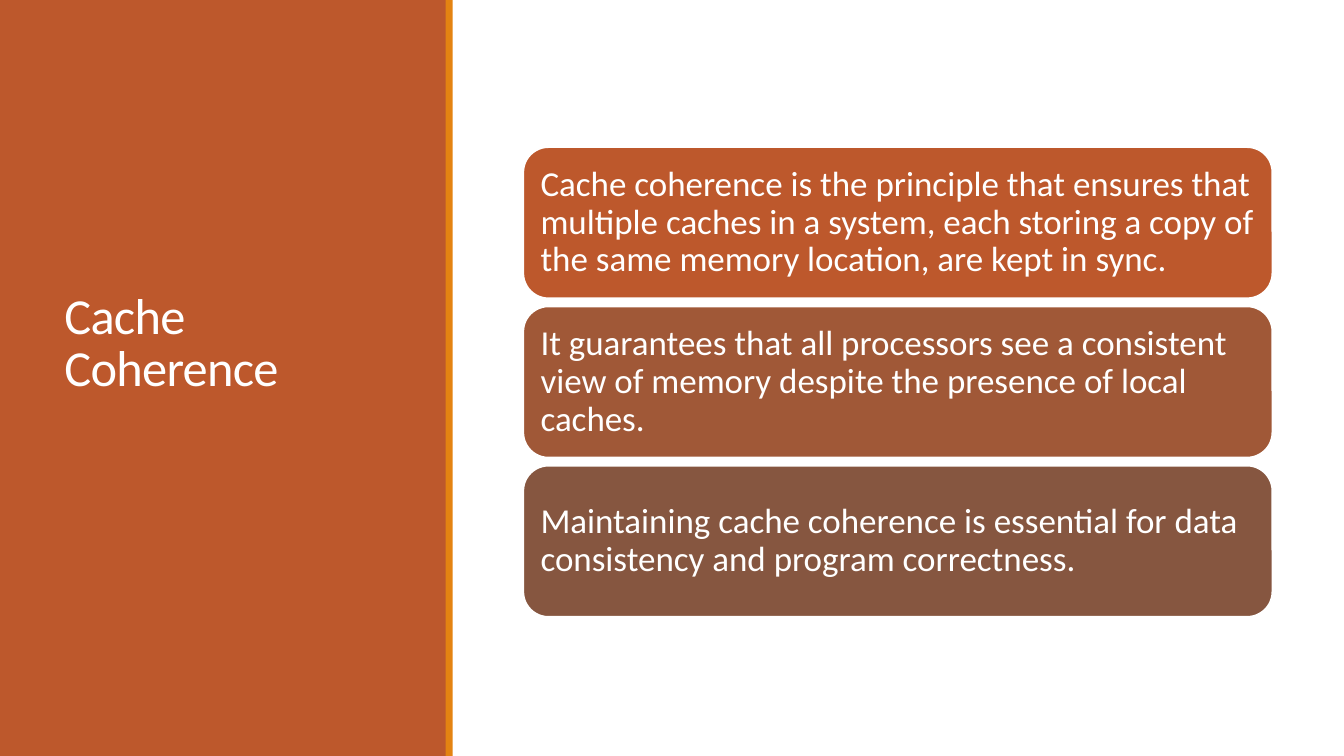
from pptx import Presentation
from pptx.dml.color import RGBColor
from pptx.enum.shapes import MSO_SHAPE
from pptx.enum.text import MSO_ANCHOR, PP_ALIGN
from pptx.util import Inches, Pt

WHITE = RGBColor(0xFF, 0xFF, 0xFF)
RUST = RGBColor(0xBD, 0x58, 0x2C)
ORANGE = RGBColor(0xE4, 0x83, 0x12)
SIENNA = RGBColor(0xA0, 0x58, 0x37)
BROWN = RGBColor(0x86, 0x56, 0x40)

SLIDE_WIDTH, SLIDE_HEIGHT = 13.33, 7.5
CARD_LEFT, CARD_TOP = 5.19, 1.46
CARD_WIDTH, CARD_HEIGHT, CARD_PITCH = 7.43, 1.5, 1.58

POINTS = [
    ("Cache coherence is the principle that ensures that multiple caches in a system, "
     "each storing a copy of the same memory location, are kept in sync.", RUST),
    ("It guarantees that all processors see a consistent view of memory "
     "despite the presence of local caches.", SIENNA),
    ("Maintaining cache coherence is essential for data consistency "
     "and program correctness.", BROWN),
]


def write_text(frame, text, *, size, line_spacing, insets, tracking=0):
    """Fill a frame; insets are left, top, right, bottom in inches, tracking in points."""
    frame.word_wrap = True
    frame.vertical_anchor = MSO_ANCHOR.MIDDLE
    (frame.margin_left, frame.margin_top,
     frame.margin_right, frame.margin_bottom) = map(Inches, insets)
    paragraph = frame.paragraphs[0]
    paragraph.alignment = PP_ALIGN.LEFT
    paragraph.line_spacing = line_spacing
    run = paragraph.add_run()
    run.text = text
    run.font.name = "Calibri"
    run.font.size = Pt(size)
    run.font.color.rgb = WHITE
    if tracking:
        run._r.get_or_add_rPr().set("spc", str(round(tracking * 100)))


class SlideBuilder:
    def __init__(self, slide):
        self.slide = slide

    def block(self, kind, left, top, width, height, fill):
        block = self.slide.shapes.add_shape(
            kind, Inches(left), Inches(top), Inches(width), Inches(height))
        block.shadow.inherit = False
        block.fill.solid()
        block.fill.fore_color.rgb = fill
        block.line.fill.background()
        return block

    def panel(self, left, width, fill):
        self.block(MSO_SHAPE.RECTANGLE, left, 0, width, SLIDE_HEIGHT, fill)

    def title(self, text, left, top, width, height):
        title = self.slide.shapes.add_textbox(
            Inches(left), Inches(top), Inches(width), Inches(height))
        write_text(title.text_frame, text, size=36, line_spacing=0.85,
                   insets=(0.1, 0.05, 0.1, 0.65), tracking=-0.5)

    def card(self, text, top, fill):
        card = self.block(MSO_SHAPE.ROUNDED_RECTANGLE, CARD_LEFT, top,
                          CARD_WIDTH, CARD_HEIGHT, fill)
        card.line.color.rgb = WHITE
        card.line.width = Pt(1.25)
        write_text(card.text_frame, text, size=25, line_spacing=0.9, insets=(0.1,) * 4)


def main():
    presentation = Presentation()
    presentation.slide_width = Inches(SLIDE_WIDTH)
    presentation.slide_height = Inches(SLIDE_HEIGHT)
    builder = SlideBuilder(presentation.slides.add_slide(presentation.slide_layouts[6]))

    builder.panel(0, 4.43, RUST)
    builder.title("Cache Coherence", 0.54, 0.57, 3.37, 6.31)
    builder.panel(4.42, 0.07, ORANGE)
    for row, (text, fill) in enumerate(POINTS):
        builder.card(text, CARD_TOP + row * CARD_PITCH, fill)

    presentation.save("out.pptx")


if __name__ == "__main__":
    main()
